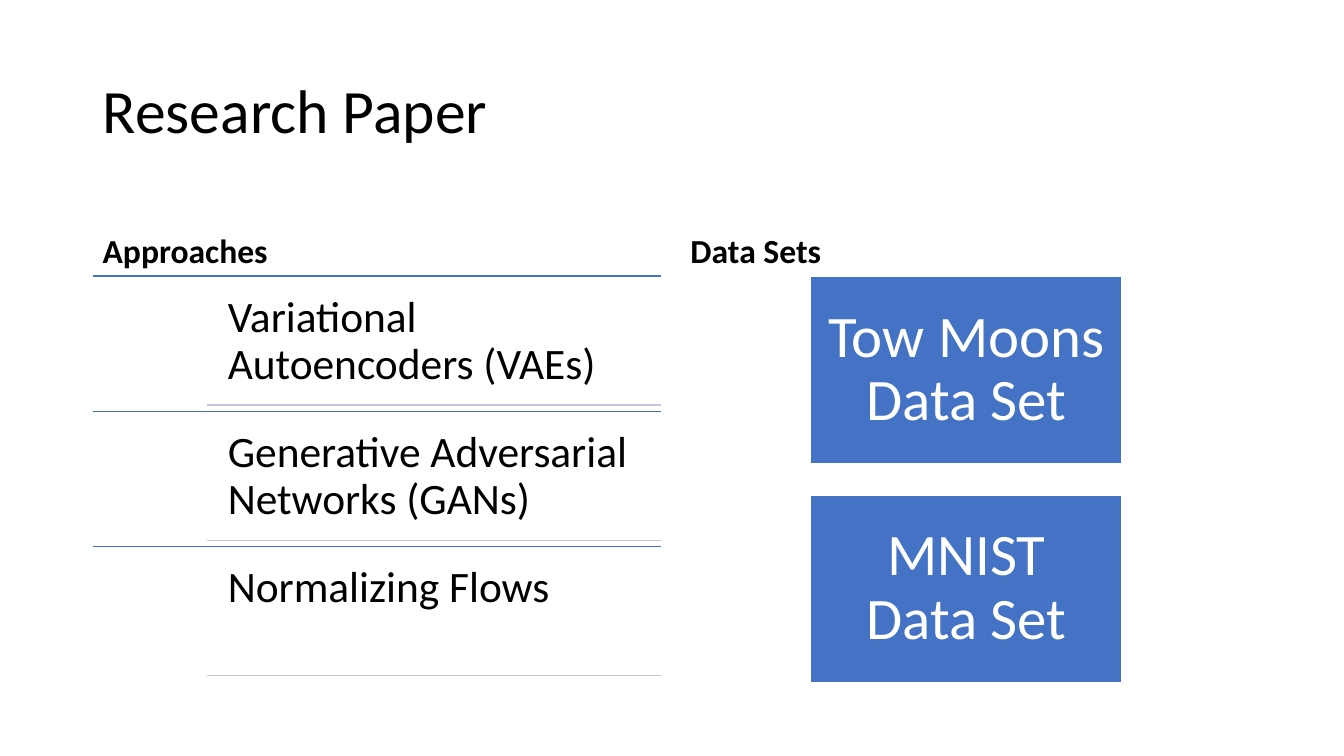
from lxml import etree
from pptx import Presentation
from pptx.dml.color import RGBColor
from pptx.enum.shapes import MSO_CONNECTOR, MSO_SHAPE
from pptx.enum.text import MSO_ANCHOR, MSO_AUTO_SIZE, PP_ALIGN
from pptx.oxml.ns import qn
from pptx.util import Inches, Pt

FONT = "Calibri"
BLACK, WHITE, BLUE, PALE_BLUE = "000000", "FFFFFF", "4472C4", "C1C9E4"
LEFT, RIGHT, TOP = 0.92, 6.56, 2.74
APPROACHES = [
    "Variational Autoencoders (VAEs)",
    "Generative Adversarial Networks (GANs)",
    "Normalizing Flows",
]
DATA_SETS = ["Tow Moons Data Set", "MNIST Data Set"]


def color(value):
    """Return the colour for a hex string."""
    return RGBColor.from_string(value)


def set_text(sp, text, size, anchor, hex_color=BLACK, bold=False,
             align=PP_ALIGN.LEFT, before=0, inset=None):
    """Write one formatted paragraph into a shape."""
    tf = sp.text_frame
    frame = {"word_wrap": True, "auto_size": MSO_AUTO_SIZE.NONE,
             "vertical_anchor": anchor}
    sides = inset or (0.1, 0.05)
    for name, side in zip(("left", "top", "right", "bottom"), sides * 2):
        frame[f"margin_{name}"] = Inches(side)
    for name, value in frame.items():
        setattr(tf, name, value)
    p = tf.paragraphs[0]
    for name, value in {"alignment": align, "line_spacing": 0.9,
                        "space_before": Pt(before)}.items():
        setattr(p, name, value)
    r = p.add_run()
    r.text = text
    for name, value in {"name": FONT, "size": Pt(size), "bold": bold}.items():
        setattr(r.font, name, value)
    r.font.color.rgb = color(hex_color)


def add_title(s, text):
    """Place and format the slide title."""
    sp = s.shapes.title
    box = {"left": 0.92, "top": 0.4, "width": 11.5, "height": 1.45}
    for name, value in box.items():
        setattr(sp, name, Inches(value))
    set_text(sp, text, 44, MSO_ANCHOR.MIDDLE)


def add_text(s, box, text, size, anchor, **fmt):
    """Add a text box."""
    sp = s.shapes.add_textbox(*map(Inches, box))
    set_text(sp, text, size, anchor, **fmt)


def add_rule(s, left, y, hex_color):
    """Add a horizontal line that ends at the column's right edge."""
    sp = s.shapes.add_connector(MSO_CONNECTOR.STRAIGHT, Inches(left), Inches(y),
                                Inches(RIGHT), Inches(y))
    sp.line.color.rgb = color(hex_color)
    sp.line.width = Pt(1)
    etree.SubElement(sp._element.spPr, qn("a:effectLst"))


def add_approach(s, top, text):
    """Add one approach between its upper and lower rules."""
    add_rule(s, LEFT, top, BLUE)
    add_text(s, (2.13, top + 0.06, 4.43, 1.22), text, 31, MSO_ANCHOR.TOP,
             inset=(0.13, 0.13))
    add_rule(s, 2.05, top + 1.28, PALE_BLUE)


def add_data_set(s, top, text):
    """Add one filled data set block."""
    sp = s.shapes.add_shape(MSO_SHAPE.RECTANGLE,
                            *map(Inches, (8.04, top, 3.09, 1.86)))
    sp.shadow.inherit = False
    sp.fill.solid()
    sp.fill.fore_color.rgb = color(BLUE)
    sp.line.color.rgb = color(WHITE)
    sp.line.width = Pt(1)
    set_text(sp, text, 42, MSO_ANCHOR.MIDDLE, hex_color=WHITE,
             align=PP_ALIGN.CENTER, inset=(0.17, 0.17))


def main():
    """Build and save the slide."""
    prs = Presentation()
    prs.slide_width, prs.slide_height = Inches(13.33), Inches(7.5)
    s = prs.slides.add_slide(prs.slide_layouts[5])
    add_title(s, "Research Paper")
    for left, heading in ((LEFT, "Approaches"), (6.75, "Data Sets")):
        add_text(s, (left, 1.84, 5.64, 0.9), heading, 24, MSO_ANCHOR.BOTTOM,
                 bold=True, before=10)
    for i, text in enumerate(APPROACHES):
        add_approach(s, TOP + i * 1.34, text)
    for i, text in enumerate(DATA_SETS):
        add_data_set(s, TOP + i * 2.17, text)
    prs.save("out.pptx")


if __name__ == "__main__":
    main()
